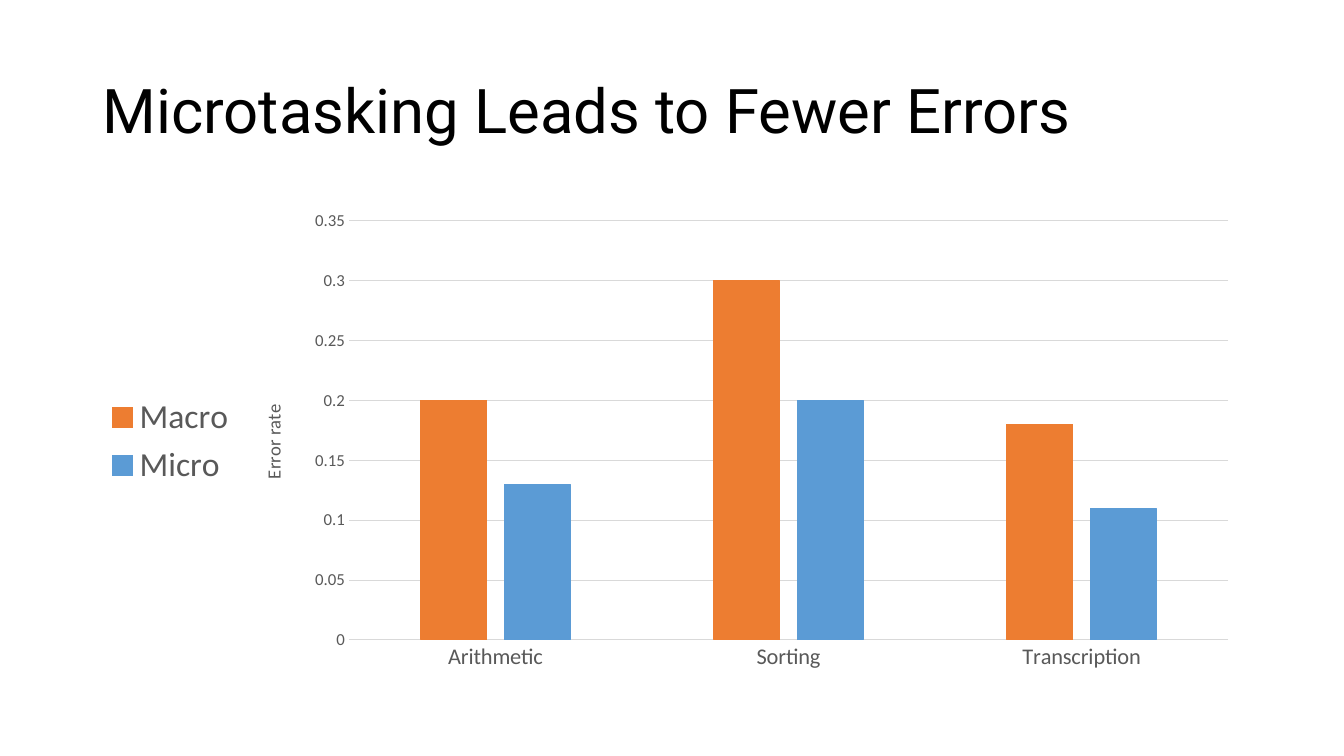
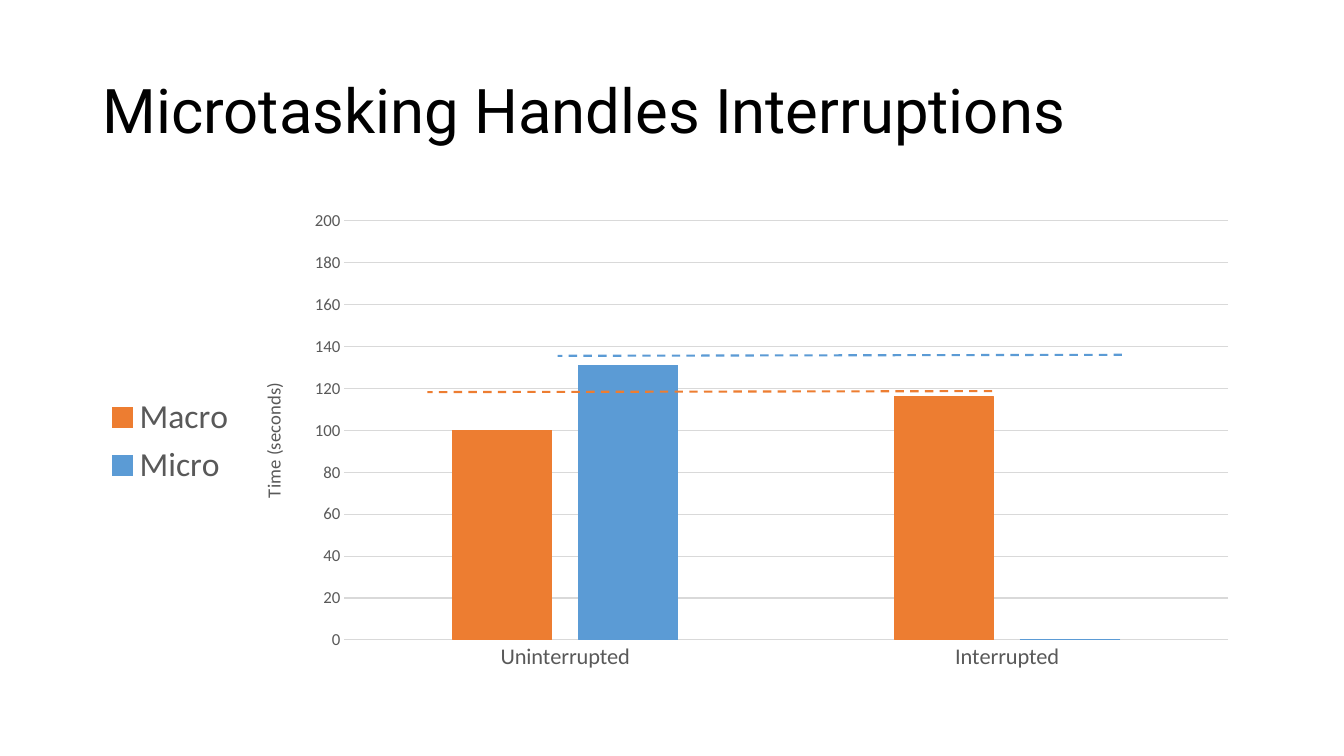
from dataclasses import dataclass
from lxml import etree
from pptx import Presentation
from pptx import util as u
from pptx.chart.data import CategoryChartData
from pptx.dml.color import RGBColor
from pptx.enum import chart as ch, dml, shapes, text
from pptx.oxml.ns import qn


@dataclass(frozen=True)
class Theme:
    ink: RGBColor = RGBColor.from_string("000000")
    label: RGBColor = RGBColor.from_string("595959")
    grid: RGBColor = RGBColor.from_string("D9D9D9")
    macro: RGBColor = RGBColor.from_string("ED7D31")
    micro: RGBColor = RGBColor.from_string("5B9BD5")
    title_font: str = "Roboto"
    chart_font: str = "Calibri"
    title: float = 44
    legend: float = 24
    category: float = 16
    axis_title: float = 13.3
    tick: float = 12
    thin: float = 0.75
    dash: float = 1.5


T = Theme()
prs = Presentation()
prs.slide_width, prs.slide_height = u.Inches(13.33), u.Inches(7.5)
COL, ROW = prs.slide_width / 29, prs.slide_height / 75
CHART_COLS, CHART_ROWS = 25, 47.6
PLOT_RIGHT, PLOT_TOP, PLOT_ROWS = 24.5, 1.9, 41.6
COLORS = {"Macro": T.macro, "Micro": T.micro}

SLIDES = [
    dict(title="Microtasking Leads to Fewer Errors", axis="Error rate",
         top=0.35, step=0.05, axis_row=19.8, plot_left=5.53,
         cats=["Arithmetic", "Sorting", "Transcription"],
         series={"Macro": [0.2, 0.3, 0.18], "Micro": [0.13, 0.2, 0.11]},
         lines=[]),
    dict(title="Microtasking Handles Interruptions", axis="Time (seconds)",
         top=200, step=20, axis_row=17.6, plot_left=5.43,
         cats=["Uninterrupted", "Interrupted"],
         series={"Macro": [100, 116], "Micro": [131, 0]},
         lines=[("Macro", 21.41, 38.8, 9.22, 38.9),
                ("Micro", 24.21, 35.2, 12.03, 35.3)]),
]


def style_font(font, size, color=T.label, name=T.chart_font):
    font.size, font.name, font.bold = u.Pt(size), name, False
    font.color.rgb = color


def set_layout(parent, **values):
    layout = parent.find(qn("c:layout"))
    if layout is None:
        layout = etree.Element(qn("c:layout"))
        parent.insert(0, layout)
    manual = etree.SubElement(layout, qn("c:manualLayout"))
    for tag, val in values.items():
        etree.SubElement(manual, qn("c:" + tag)).set("val", str(val))


for page in SLIDES:
    s = prs.slides.add_slide(prs.slide_layouts[6])

    box = s.shapes.add_textbox(
        *map(round, (2 * COL, 4 * ROW, CHART_COLS * COL, 14.5 * ROW)))
    tf = box.text_frame
    tf.word_wrap = True
    tf.vertical_anchor = text.MSO_ANCHOR.MIDDLE
    p = tf.paragraphs[0]
    p.line_spacing = 0.9
    r = p.add_run()
    r.text = page["title"]
    style_font(r.font, T.title, T.ink, T.title_font)

    data = CategoryChartData()
    data.categories = page["cats"]
    for name, vals in page["series"].items():
        data.add_series(name, vals)
    frame = s.shapes.add_chart(
        ch.XL_CHART_TYPE.COLUMN_CLUSTERED,
        *map(round, (2 * COL, 20 * ROW, CHART_COLS * COL, CHART_ROWS * ROW)), data)
    chart = frame.chart
    style_font(chart.font, T.tick)
    chart.has_title = False
    chart.has_legend = True
    chart.legend.position = ch.XL_LEGEND_POSITION.LEFT
    chart.legend.include_in_layout = False
    style_font(chart.legend.font, T.legend)

    plot = chart.plots[0]
    plot.gap_width, plot.overlap = 219, -27
    plot.vary_by_categories = False
    for ser in plot.series:
        ser.invert_if_negative = False
        ser.format.fill.solid()
        ser.format.fill.fore_color.rgb = COLORS[ser.name]
        ser.format.line.color.rgb = COLORS[ser.name]
        ser.format.line.width = u.Pt(T.thin)

    cat, val = chart.category_axis, chart.value_axis
    for axis, size in ((cat, T.category), (val, T.tick)):
        axis.major_tick_mark = axis.minor_tick_mark = ch.XL_TICK_MARK.NONE
        style_font(axis.tick_labels.font, size)
    val.has_major_gridlines = True
    for line in (cat.format.line, val.major_gridlines.format.line):
        line.color.rgb = T.grid
        line.width = u.Pt(T.thin)
    val.format.line.fill.background()
    val.minimum_scale, val.maximum_scale = 0, page["top"]
    val.major_unit = page["step"]
    val.tick_labels.number_format = "General"
    val.tick_labels.number_format_is_linked = False

    tf = val.axis_title.text_frame
    r = tf.paragraphs[0].add_run()
    r.text = page["axis"]
    style_font(r.font, T.axis_title)
    body = tf._txBody.find(qn("a:bodyPr"))
    body.set("rot", "-5400000")
    body.set("vert", "horz")
    set_layout(val.axis_title._element, xMode="edge", yMode="edge",
               x=3.55 / CHART_COLS, y=page["axis_row"] / CHART_ROWS)
    set_layout(chart._chartSpace.find(".//" + qn("c:plotArea")),
               layoutTarget="inner", xMode="edge", yMode="edge",
               x=page["plot_left"] / CHART_COLS, y=PLOT_TOP / CHART_ROWS,
               w=(PLOT_RIGHT - page["plot_left"]) / CHART_COLS,
               h=PLOT_ROWS / CHART_ROWS)

    for name, x1, y1, x2, y2 in page["lines"]:
        ln = s.shapes.add_connector(
            shapes.MSO_CONNECTOR.STRAIGHT,
            *map(round, (x1 * COL, y1 * ROW, x2 * COL, y2 * ROW)))
        ln.line.color.rgb = COLORS[name]
        ln.line.width = u.Pt(T.dash)
        ln.line.dash_style = dml.MSO_LINE.DASH
        etree.SubElement(ln._element.spPr, qn("a:effectLst"))

prs.save("out.pptx")
